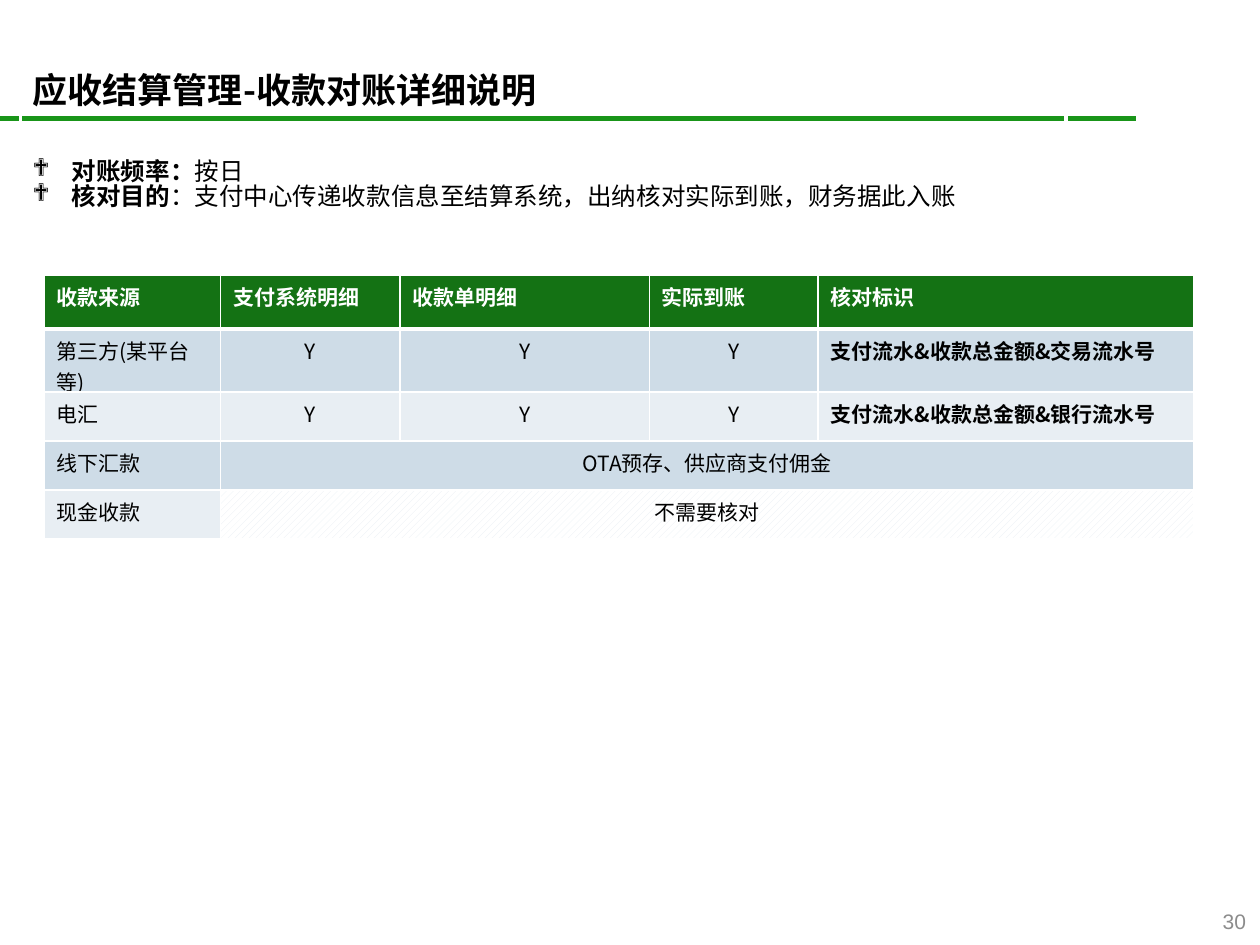
from pptx import Presentation
from pptx.dml.color import RGBColor
from pptx.enum.dml import MSO_PATTERN
from pptx.enum.shapes import MSO_CONNECTOR, MSO_SHAPE
from pptx.enum.text import MSO_ANCHOR, PP_ALIGN
from pptx.oxml.ns import qn
from pptx.util import Cm, Pt
from lxml import etree

STRAIGHT = MSO_CONNECTOR.STRAIGHT
RECTANGLE = MSO_SHAPE.RECTANGLE
MIDDLE = MSO_ANCHOR.MIDDLE
LEFT, CENTER, RIGHT = PP_ALIGN.LEFT, PP_ALIGN.CENTER, PP_ALIGN.RIGHT
DIAGONAL = MSO_PATTERN.WIDE_UPWARD_DIAGONAL

BLACK = RGBColor(0x00, 0x00, 0x00)
WHITE = RGBColor(0xFF, 0xFF, 0xFF)
GRAY = RGBColor(0x8C, 0x8C, 0x8C)
RULE_GREEN = RGBColor(0x19, 0x95, 0x19)
HEADER_GREEN = RGBColor(0x14, 0x72, 0x14)
BAND_DARK = RGBColor(0xCE, 0xDC, 0xE7)
BAND_LIGHT = RGBColor(0xE8, 0xEE, 0xF3)

CJK_FONT = "Noto Sans CJK SC"
NUMBER_FONT = "Arial"

BULLETS = [
    ("对账频率：", "按日"),
    ("核对目的", "：支付中心传递收款信息至结算系统，出纳核对实际到账，财务据此入账"),
]
COLUMN_WIDTHS = [3.56, 3.61, 5.03, 3.4, 7.57]
ROW_HEIGHTS = [1.09, 0.97, 0.99, 0.99, 0.97]
ROWS = [
    ["收款来源", "支付系统明细", "收款单明细", "实际到账", "核对标识"],
    ["第三方(某平台等)", "Y", "Y", "Y", "支付流水&收款总金额&交易流水号"],
    ["电汇", "Y", "Y", "Y", "支付流水&收款总金额&银行流水号"],
    ["线下汇款", "OTA预存、供应商支付佣金"],
    ["现金收款", "不需要核对"],
]


def style(p, size, color, bold=None, name=CJK_FONT, align=LEFT):
    """Set the alignment and the font of a paragraph."""
    p.alignment = align
    font = p.font
    font.size, font.bold, font.name = Pt(size), bold, name
    font.color.rgb = color
    props = p._p.get_or_add_pPr().find(qn("a:defRPr"))
    etree.SubElement(props, qn("a:ea"), typeface=name)


def add_bullet(p, char, indent):
    """Give a paragraph a hanging bullet."""
    props = p._p.get_or_add_pPr()
    props.set("marL", str(indent))
    props.set("indent", str(-indent))
    etree.SubElement(props, qn("a:buFont"), typeface="Wingdings")
    etree.SubElement(props, qn("a:buChar"), char=char)


def set_borders(cell, top, bottom):
    """Draw white cell borders, one point wide at the sides."""
    props = cell._tc.get_or_add_tcPr()
    widths = {"a:lnL": 1, "a:lnR": 1, "a:lnT": top, "a:lnB": bottom}
    for i, (tag, width) in enumerate(widths.items()):
        ln = etree.Element(qn(tag), w=str(Pt(width)))
        fill = etree.SubElement(ln, qn("a:solidFill"))
        etree.SubElement(fill, qn("a:srgbClr"), val=str(WHITE))
        props.insert(i, ln)


def add_header(slide, left, top, width, height):
    """Add the green rule and the title above it."""
    rule_y = top + height - Cm(0.15)
    rule = slide.shapes.add_connector(STRAIGHT, 0, rule_y, Cm(22.91), rule_y)
    rule.line.color.rgb = RULE_GREEN
    rule.line.width = Pt(3)
    etree.SubElement(rule._element.spPr, qn("a:effectLst"))

    sp = slide.shapes.add_shape(RECTANGLE, left, top, width, height)
    sp.shadow.inherit = False
    sp.fill.background()
    sp.line.color.rgb = WHITE
    sp.line.width = Pt(2)
    tf = sp.text_frame
    tf.vertical_anchor = MIDDLE
    p = tf.paragraphs[0]
    p.text = "应收结算管理-收款对账详细说明"
    style(p, 20, BLACK, True)


def add_bullets(slide, left, top, width, height):
    """Add the bulleted notes, each with a bold lead."""
    tf = slide.shapes.add_textbox(left, top, width, height).text_frame
    tf.word_wrap = True
    for i, (lead, detail) in enumerate(BULLETS):
        p = tf.add_paragraph() if i else tf.paragraphs[0]
        p.line_spacing = 0.85
        add_bullet(p, "❖", Cm(0.79))
        style(p, 14, BLACK)
        for text, bold in ((lead, True), (detail, False)):
            r = p.add_run()
            r.text = text
            r.font.bold = bold


def add_check_table(slide, left, top, width, height):
    """Add the table of payment sources and their checks."""
    last = len(COLUMN_WIDTHS) - 1
    table = slide.shapes.add_table(
        len(ROWS), last + 1, left, top, width, height).table
    for column, size in zip(table.columns, COLUMN_WIDTHS):
        column.width = Cm(size)
    for i, (row, size, texts) in enumerate(zip(table.rows, ROW_HEIGHTS, ROWS)):
        row.height = Cm(size)
        header = i == 0
        band = HEADER_GREEN if header else BAND_DARK if i % 2 else BAND_LIGHT
        for cell in row.cells:
            cell.fill.solid()
            cell.fill.fore_color.rgb = band
            set_borders(cell, 3 if i == 1 else 1, 3 if header else 1)
        if len(texts) == 2:
            table.cell(i, 1).merge(table.cell(i, last))
        for j, text in enumerate(texts):
            p = table.cell(i, j).text_frame.paragraphs[0]
            p.text = text
            style(p, 12, WHITE if header else BLACK, header or j == last,
                  align=LEFT if header or j in (0, last) else CENTER)
    fill = table.cell(len(ROWS) - 1, 1).fill
    fill.patterned()
    fill.pattern = DIAGONAL
    fill.fore_color.rgb = BAND_LIGHT
    fill.back_color.rgb = WHITE


def add_page_number(slide, left, top, width, height):
    """Add the page number."""
    tf = slide.shapes.add_textbox(left, top, width, height).text_frame
    tf.word_wrap = True
    tf.vertical_anchor = MIDDLE
    p = tf.paragraphs[0]
    p.text = "30"
    style(p, 12, GRAY, name=NUMBER_FONT, align=RIGHT)


def main():
    """Build the slide and save it."""
    prs = Presentation()
    prs.slide_width, prs.slide_height = Cm(25.4), Cm(19.05)
    slide = prs.slides.add_slide(prs.slide_layouts[6])
    add_header(slide, Cm(0.41), Cm(1.07), Cm(21.08), Cm(1.47))
    add_page_number(slide, Cm(23.95), Cm(18.14), Cm(1.42), Cm(0.86))
    add_bullets(slide, Cm(0.41), Cm(3.12), Cm(23.85), Cm(4.45))
    add_check_table(slide, Cm(0.89), Cm(5.54),
                    Cm(sum(COLUMN_WIDTHS)), Cm(sum(ROW_HEIGHTS)))
    prs.save("out.pptx")


if __name__ == "__main__":
    main()
